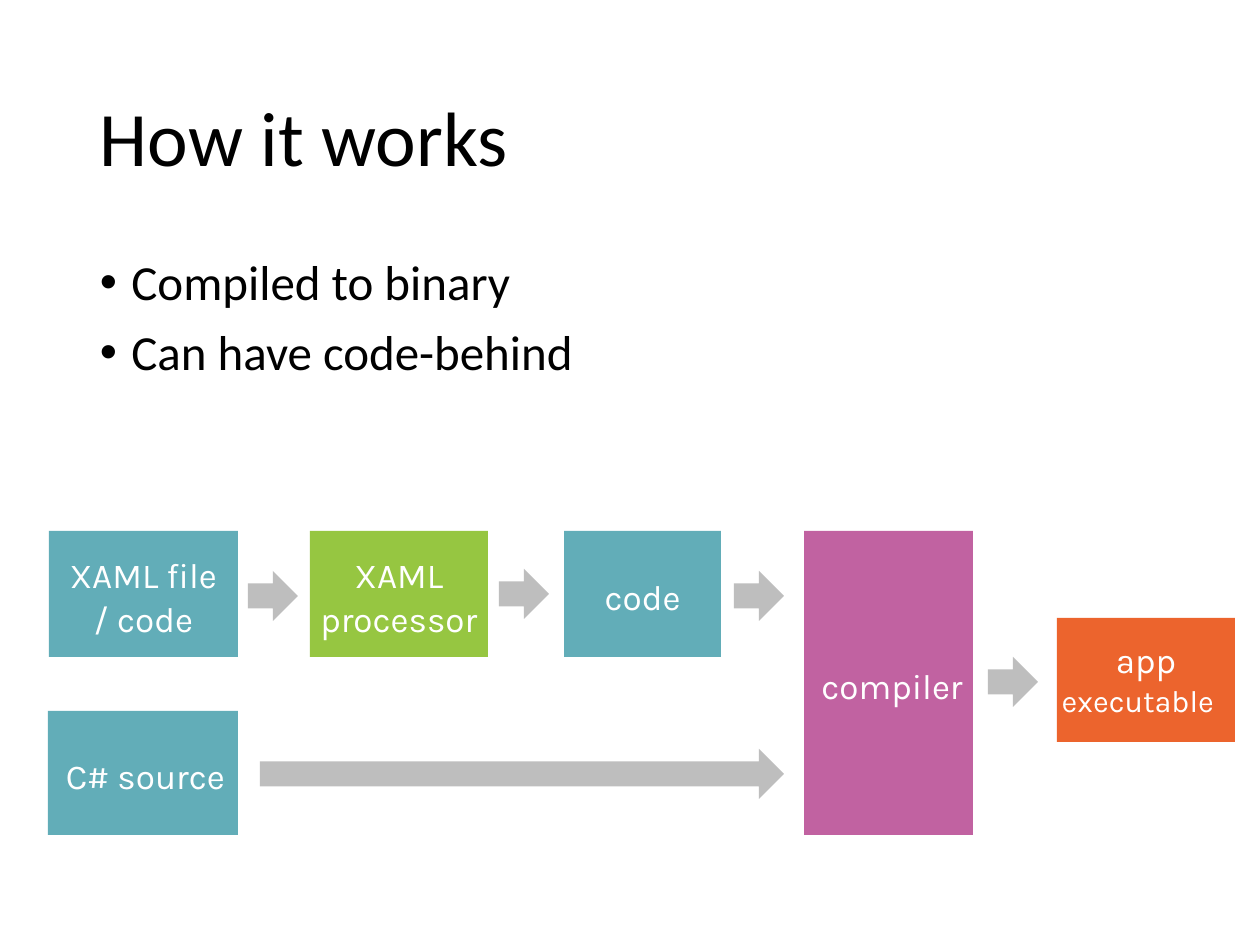
from lxml.etree import SubElement
from pptx import Presentation
from pptx.dml.color import RGBColor
from pptx.enum.shapes import MSO_SHAPE
from pptx.enum.text import MSO_ANCHOR, PP_ALIGN
from pptx.oxml.ns import qn
from pptx.util import Pt

EMU_PER_PIXEL = 914400 / 126
BLACK = RGBColor(0x00, 0x00, 0x00)
WHITE = RGBColor(0xFF, 0xFF, 0xFF)
TEAL = RGBColor(0x62, 0xAD, 0xB8)
GREEN = RGBColor(0x96, 0xC6, 0x41)
PURPLE = RGBColor(0xC1, 0x62, 0xA1)
ORANGE = RGBColor(0xEC, 0x64, 0x2D)
GREY = RGBColor(0xBE, 0xBE, 0xBE)


def px(pixels):
    """Turn pixels into EMU."""
    return round(pixels * EMU_PER_PIXEL)


def write(frame, lines, *, font, size, color, align=PP_ALIGN.LEFT,
          anchor=MSO_ANCHOR.TOP, spacing=0.9, before=0, bullet=None,
          insets=(13, 6, 13, 6)):
    """Fill a text frame with one paragraph per line; return the paragraphs."""
    frame.word_wrap = True
    frame.vertical_anchor = anchor
    (frame.margin_left, frame.margin_top,
     frame.margin_right, frame.margin_bottom) = map(px, insets)
    frame.text = "\n".join(lines)
    for paragraph in frame.paragraphs:
        paragraph.alignment = align
        paragraph.line_spacing = spacing
        paragraph.space_before = Pt(before)
        for run in paragraph.runs:
            run.font.name = font
            run.font.size = Pt(size)
            run.font.color.rgb = color
        if bullet:
            properties = paragraph._p.get_or_add_pPr()
            properties.set("marL", str(px(31.5)))
            properties.set("indent", str(-px(31.5)))
            SubElement(properties, qn("a:buFont")).set("typeface", "Arial")
            SubElement(properties, qn("a:buChar")).set("char", bullet)
    return frame.paragraphs


def add_text(slide, box, lines, **text_format):
    """Place a text box."""
    write(slide.shapes.add_textbox(*map(px, box)).text_frame, lines, **text_format)


def add_block(slide, kind, box, fill):
    """Place a plain filled shape without outline or shadow."""
    block = slide.shapes.add_shape(kind, *map(px, box))
    block.shadow.inherit = False
    block.fill.solid()
    block.fill.fore_color.rgb = fill
    block.line.fill.background()
    return block


def add_stage(slide, box, fill, lines, insets=(0, 4, 0, 0)):
    """Place one labelled stage of the build; return its paragraphs."""
    stage = add_block(slide, MSO_SHAPE.RECTANGLE, box, fill)
    return write(stage.text_frame, lines, font="Karla", size=20, color=WHITE,
                 align=PP_ALIGN.CENTER, anchor=MSO_ANCHOR.MIDDLE,
                 spacing=Pt(25), insets=insets)


def add_heading(slide, left, top, width):
    """Place the title and the bullet points below it."""
    add_text(slide, (left, top, width, 183), ["How it works"], font="Calibri",
             size=44, color=BLACK, anchor=MSO_ANCHOR.MIDDLE)
    add_text(slide, (left, top + 202, width, 247),
             ["Compiled to binary", "Can have code-behind"], font="Calibri",
             size=28, color=BLACK, before=10, bullet="•")


def add_build_flow(slide, left, top):
    """Place the stages from source to executable and the arrows between them."""
    stages = [
        ((1, 0, 189, 126), TEAL, ["XAML file", "/ code"], (0, 4, 0, 0)),
        ((262, 0, 178, 126), GREEN, ["XAML", "processor"], (0, 4, 0, 0)),
        ((516, 0, 157, 126), TEAL, ["code"], (0, 4, 0, 0)),
        ((756, 0, 169, 304), PURPLE, ["compiler"], (7, 4, 0, 0)),
        ((0, 180, 190, 124), TEAL, ["C# source"], (5, 4, 0, 0)),
    ]
    for (x, y, width, height), fill, lines, insets in stages:
        add_stage(slide, (left + x, top + y, width, height), fill, lines, insets)

    app, executable = add_stage(slide, (left + 1009, top + 87, 178, 124), ORANGE,
                                ["app", "executable"], (0, 0, 16, 4))
    app._p.get_or_add_pPr().set("marL", str(px(16)))
    executable.line_spacing = Pt(22)
    executable.runs[0].font.size = Pt(17.5)

    for x, y, width in [(200, 40, 50), (451, 38, 50), (686, 40, 50),
                        (212, 218, 524), (940, 126, 50)]:
        add_block(slide, MSO_SHAPE.RIGHT_ARROW, (left + x, top + y, width, 50), GREY)


def main():
    """Build and save the slide."""
    deck = Presentation()
    deck.slide_width, deck.slide_height = px(1260), px(945)
    slide = deck.slides.add_slide(deck.slide_layouts[6])
    add_heading(slide, 87, 50, 1086)
    add_build_flow(slide, 48, 531)
    deck.save("out.pptx")


main()
